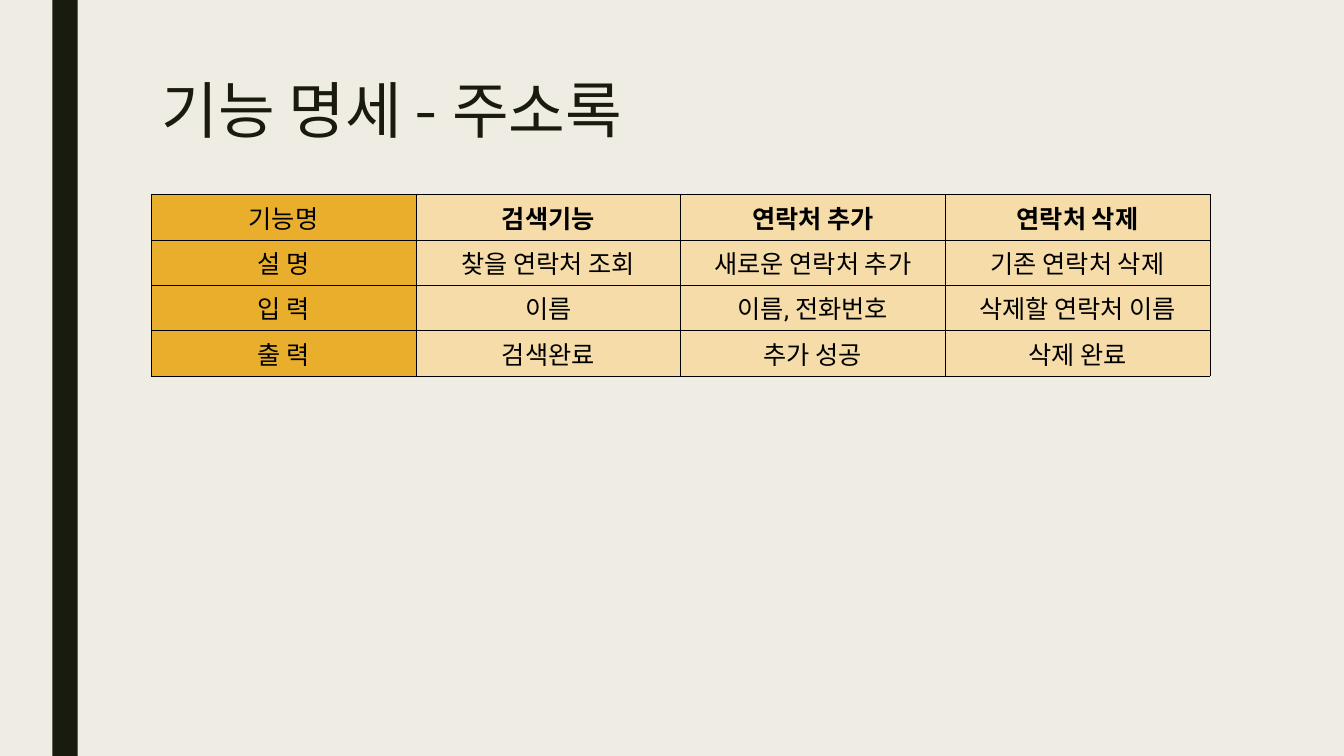
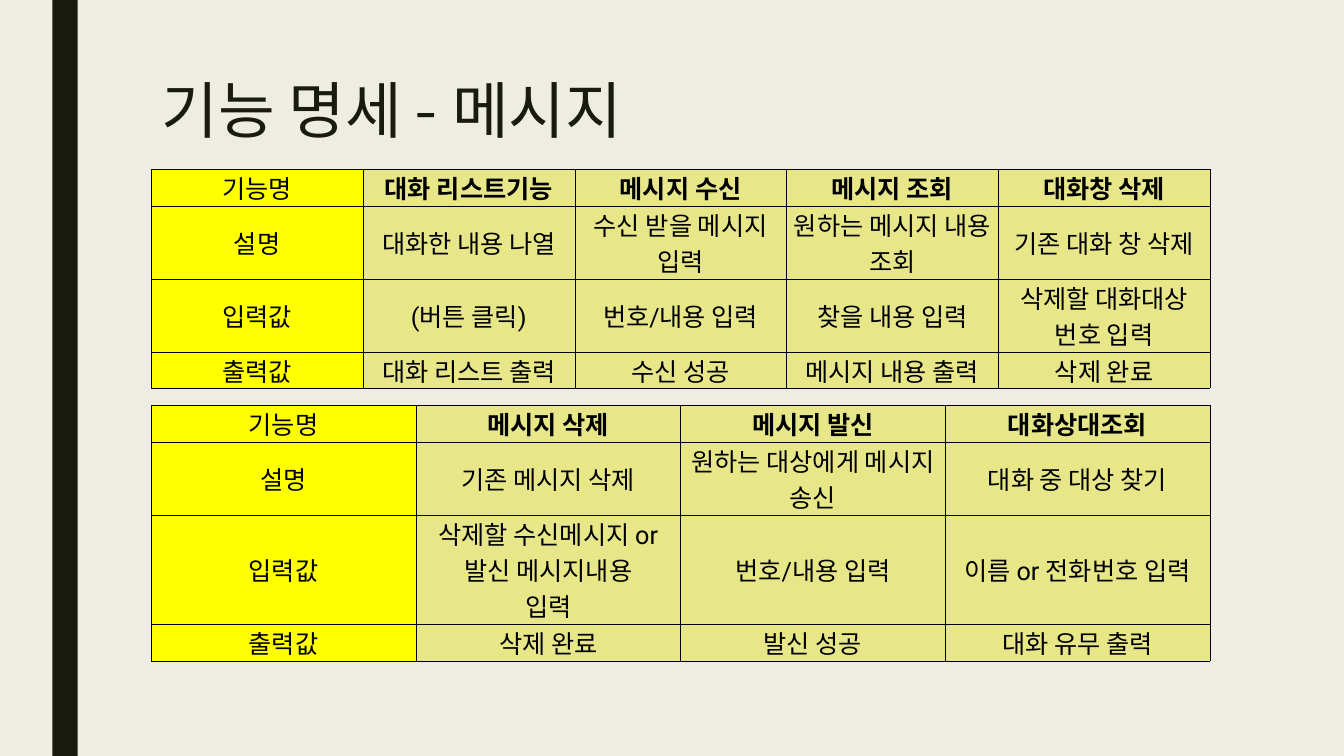
from lxml import etree
from pptx import Presentation
from pptx.dml.color import RGBColor
from pptx.enum.shapes import MSO_SHAPE
from pptx.enum.text import MSO_ANCHOR, MSO_AUTO_SIZE, PP_ALIGN
from pptx.oxml.ns import qn
from pptx.util import Inches, Pt

RECT = MSO_SHAPE.RECTANGLE
TOP, MIDDLE = MSO_ANCHOR.TOP, MSO_ANCHOR.MIDDLE
NO_FIT = MSO_AUTO_SIZE.NONE
LEFT, CENTER = PP_ALIGN.LEFT, PP_ALIGN.CENTER

PAPER, INK, BLACK = "EFEDE3", "191B0E", "000000"
AMBER = ("E9AE2B", "F5DCA8")    # label column, other columns
YELLOW = ("FFFF00", "E7E78A")
TITLE_FONT, BODY_FONT = "Karla", "Roboto"
MARGIN, CONTENT_W = 1.5, 10.5
BORDER = Pt(0.23)

# Content: each table has its top, line height, lines per row, colours and rows
SLIDES = [
    ("기능 명세 - 주소록", [
        dict(top=1.93, line=0.45, lines=(1, 1, 1, 1), colors=AMBER, rows=[
            ("기능명", "검색기능", "연락처 추가", "연락처 삭제"),
            ("설 명", "찾을 연락처 조회", "새로운 연락처 추가", "기존 연락처 삭제"),
            ("입 력", "이름", "이름, 전화번호", "삭제할 연락처 이름"),
            ("출 력", "검색완료", "추가 성공", "삭제 완료"),
        ]),
    ]),
    ("기능 명세 - 메시지", [
        dict(top=1.68, line=0.36, lines=(1, 2, 2, 1), colors=YELLOW, rows=[
            ("기능명", "대화 리스트기능", "메시지 수신", "메시지 조회", "대화창 삭제"),
            ("설명", "대화한 내용 나열", "수신 받을 메시지 입력",
             "원하는 메시지 내용 조회", "기존 대화 창 삭제"),
            ("입력값", "(버튼 클릭)", "번호/내용 입력", "찾을 내용 입력",
             "삭제할 대화대상 번호 입력"),
            ("출력값", "대화 리스트 출력", "수신 성공", "메시지 내용 출력", "삭제 완료"),
        ]),
        dict(top=4.02, line=0.36, lines=(1, 2, 3, 1), colors=YELLOW, rows=[
            ("기능명", "메시지 삭제", "메시지 발신", "대화상대조회"),
            ("설명", "기존 메시지 삭제", "원하는 대상에게 메시지 송신", "대화 중 대상 찾기"),
            ("입력값", "삭제할 수신메시지 or 발신 메시지내용\n입력", "번호/내용 입력",
             "이름 or 전화번호 입력"),
            ("출력값", "삭제 완료", "발신 성공", "대화 유무 출력"),
        ]),
    ]),
]


def rgb(color):
    return RGBColor.from_string(color)


def style_font(font, name, size, color, bold=False):
    font.name, font.size, font.bold = name, Pt(size), bold
    font.color.rgb = rgb(color)


def add_titled_slide(prs, title):
    s = prs.slides.add_slide(prs.slide_layouts[5])

    # Side band
    band = s.shapes.add_shape(RECT, Inches(0.52), 0, Inches(0.25), prs.slide_height)
    band.shadow.inherit = False
    band.fill.solid()
    band.fill.fore_color.rgb = rgb(INK)
    band.line.fill.background()

    # Title
    sp = s.shapes.title
    sp.left, sp.top = Inches(MARGIN), Inches(0.75)
    sp.width, sp.height = Inches(CONTENT_W), Inches(1.62)
    tf = sp.text_frame
    tf.text = title
    tf.auto_size, tf.vertical_anchor = NO_FIT, TOP
    p = tf.paragraphs[0]
    p.alignment, p.line_spacing = LEFT, 0.89
    style_font(p.runs[0].font, TITLE_FONT, 44, INK)
    return s


def add_borders(cell):
    tc_pr = cell._tc.get_or_add_tcPr()
    for side in ("a:lnL", "a:lnR", "a:lnT", "a:lnB"):
        ln = etree.SubElement(tc_pr, qn(side), w=str(BORDER))
        fill = etree.SubElement(ln, qn("a:solidFill"))
        etree.SubElement(fill, qn("a:srgbClr"), val=BLACK)


def format_cell(cell, text, fill, bold):
    add_borders(cell)
    cell.fill.solid()
    cell.fill.fore_color.rgb = rgb(fill)
    cell.margin_left = cell.margin_right = Inches(0.05)
    cell.margin_top = cell.margin_bottom = 0
    cell.vertical_anchor = MIDDLE
    cell.text_frame.text = text
    for p in cell.text_frame.paragraphs:
        p.alignment = CENTER
        for r in p.runs:
            style_font(r.font, BODY_FONT, 18, BLACK, bold)


def add_spec_table(s, top, line, lines, colors, rows):
    n_cols = len(rows[0])
    table = s.shapes.add_table(
        len(rows), n_cols, Inches(MARGIN), Inches(top),
        Inches(CONTENT_W), Inches(line * sum(lines))).table
    table.first_row = table.horz_banding = False
    for column in table.columns:
        column.width = Inches(CONTENT_W / n_cols)
    for i, texts in enumerate(rows):
        table.rows[i].height = Inches(line * lines[i])
        for j, text in enumerate(texts):
            format_cell(table.cell(i, j), text, colors[min(j, 1)],
                        bold=i == 0 and j > 0)


def main():
    prs = Presentation()
    prs.slide_width, prs.slide_height = Inches(13.33), Inches(7.5)
    background = prs.slide_master.background.fill
    background.solid()
    background.fore_color.rgb = rgb(PAPER)
    for title, tables in SLIDES:
        s = add_titled_slide(prs, title)
        for table in tables:
            add_spec_table(s, **table)
    prs.save("out.pptx")


if __name__ == "__main__":
    main()
